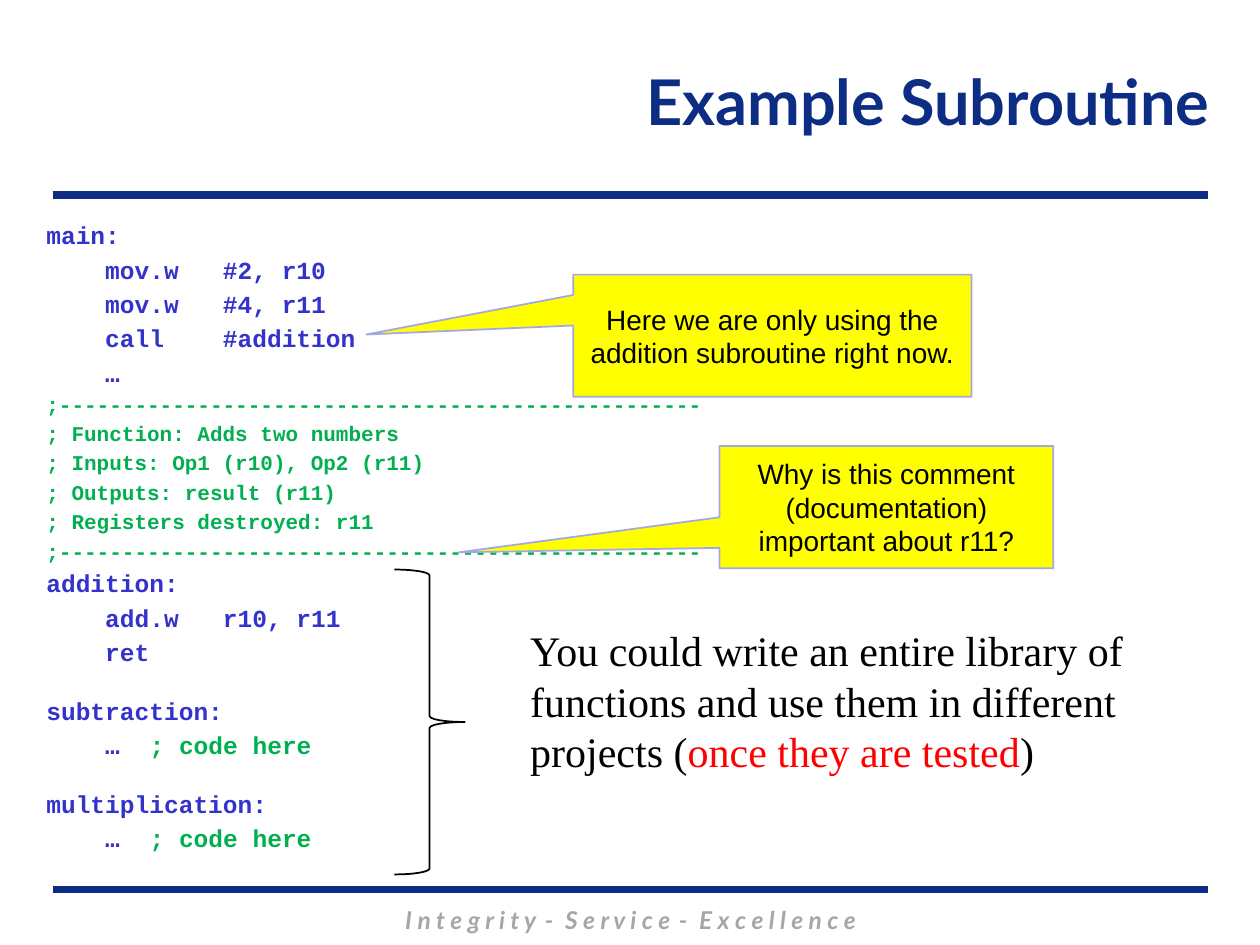
from lxml.etree import SubElement
from pptx import Presentation
from pptx.dml.color import RGBColor
from pptx.enum.shapes import MSO_CONNECTOR, MSO_SHAPE
from pptx.enum.text import MSO_ANCHOR, PP_ALIGN
from pptx.oxml.ns import qn
from pptx.util import Pt

NAVY = RGBColor(0x0C, 0x2D, 0x83)
GRAY = RGBColor(0xA6, 0xA6, 0xA6)
BLUE = RGBColor(0x33, 0x33, 0xCC)
GREEN = RGBColor(0x00, 0xB0, 0x50)
RED = RGBColor(0xFF, 0x00, 0x00)
BLACK = RGBColor(0x00, 0x00, 0x00)
YELLOW = RGBColor(0xFF, 0xFF, 0x00)
LILAC = RGBColor(0xA5, 0xA5, 0xE9)


def add_run(para, text, font="Arial", size=16, color=BLACK,
            bold=False, italic=False, gap=0):
    run = para.add_run()
    run.text = text
    run.font.name = font
    run.font.size = Pt(size)
    run.font.color.rgb = color
    run.font.bold = bold
    run.font.italic = italic
    if gap:
        run.font._element.set("spc", str(int(gap * 100)))


class Page:
    def __init__(self, slide):
        self.slide = slide
        self.code_style = dict(font="Courier New", bold=True)

    def rule(self, y):
        line = self.slide.shapes.add_connector(
            MSO_CONNECTOR.STRAIGHT, Pt(30.24), Pt(y), Pt(690.48), Pt(y))
        line.line.color.rgb = NAVY
        line.line.width = Pt(4.5)
        SubElement(line._element.spPr, qn("a:effectLst"))

    def frame(self, box, anchor=MSO_ANCHOR.TOP):
        frame = self.slide.shapes.add_textbox(*map(Pt, box)).text_frame
        frame.word_wrap = True
        frame.vertical_anchor = anchor
        return frame

    def text(self, box, parts, align=PP_ALIGN.LEFT,
             anchor=MSO_ANCHOR.TOP, **style):
        para = self.frame(box, anchor).paragraphs[0]
        para.alignment = align
        for words, extra in parts:
            add_run(para, words, **{**style, **extra})

    def code(self, box, blocks):
        frame = self.frame(box)
        para = frame.paragraphs[0]
        for b, (size, color, gap, lines) in enumerate(blocks):
            for i, line in enumerate(lines):
                if b or i:
                    para = frame.add_paragraph()
                    para.space_before = Pt(0.2 * size + (0 if i else gap))
                head, mark, note = line.partition(";")
                if head:
                    add_run(para, head, size=size, color=color,
                            **self.code_style)
                if mark:
                    add_run(para, mark + note, size=size, color=GREEN,
                            **self.code_style)

    def shape(self, kind, box, color):
        shape = self.slide.shapes.add_shape(kind, *map(Pt, box))
        shape.shadow.inherit = False
        shape.line.color.rgb = color
        shape.line.width = Pt(1)
        return shape

    def brace(self, box):
        self.shape(MSO_SHAPE.RIGHT_BRACE, box, BLACK).fill.background()

    def callout(self, box, tip, words):
        shape = self.shape(MSO_SHAPE.RECTANGULAR_CALLOUT, box, LILAC)
        shape.fill.solid()
        shape.fill.fore_color.rgb = YELLOW
        shape.adjustments[0], shape.adjustments[1] = tip
        frame = shape.text_frame
        frame.word_wrap = True
        frame.vertical_anchor = MSO_ANCHOR.MIDDLE
        frame.paragraphs[0].alignment = PP_ALIGN.CENTER
        add_run(frame.paragraphs[0], words)


def main():
    deck = Presentation()
    deck.slide_width, deck.slide_height = Pt(720), Pt(540)
    page = Page(deck.slides.add_slide(deck.slide_layouts[6]))

    # Rules, motto and title
    for y in (508.32, 111.6):
        page.rule(y)
    dash = (" - ", dict(gap=1.8))
    page.text((102.24, 513.36, 516.24, 24.48),
              [("I n t e g r i t y", {}), dash, ("S e r v i c e", {}), dash,
               ("E x c e l l e n c e", {})],
              PP_ALIGN.CENTER, font="Lato", size=14, color=GRAY,
              bold=True, italic=True)
    page.text((144, 14.4, 554.4, 86.4), [("Example Subroutine", {})],
              PP_ALIGN.RIGHT, MSO_ANCHOR.MIDDLE,
              font="Lato", size=36, color=NAVY, bold=True)

    # Code listing: size, colour, gap above, lines
    bar = ";" + "-" * 51
    page.code((19.44, 122.3, 678.96, 373), [
        (14, BLUE, 0, ["main:", "    mov.w   #2, r10", "    mov.w   #4, r11",
                       "    call    #addition", "    …"]),
        (12, GREEN, 0, [bar, "; Function: Adds two numbers",
                        "; Inputs: Op1 (r10), Op2 (r11)",
                        "; Outputs: result (r11)",
                        "; Registers destroyed: r11", bar]),
        (14, BLUE, 0, ["addition:", "    add.w   r10, r11", "    ret"]),
        (14, BLUE, 14, ["subtraction:", "    …  ; code here"]),
        (14, BLUE, 14, ["multiplication:", "    …  ; code here"]),
    ])

    # Brace and its remark
    page.brace((225.36, 325.44, 40.32, 174.24))
    page.text((295.92, 353.52, 385.2, 94.32),
              [("You could write an entire library of functions and use "
                "them in different projects (", {}),
               ("once they are tested", dict(color=RED)), (")", {})],
              font="Times New Roman", size=24)

    # Callouts
    page.callout((327.6, 156.96, 227.52, 69.84), (-1.02, -0.01),
                 "Here we are only using the addition subroutine right now.")
    page.callout((411.12, 254.88, 190.8, 69.84), (-1.28, 0.37),
                 "Why is this comment (documentation) important about r11?")

    deck.save("out.pptx")


if __name__ == "__main__":
    main()
